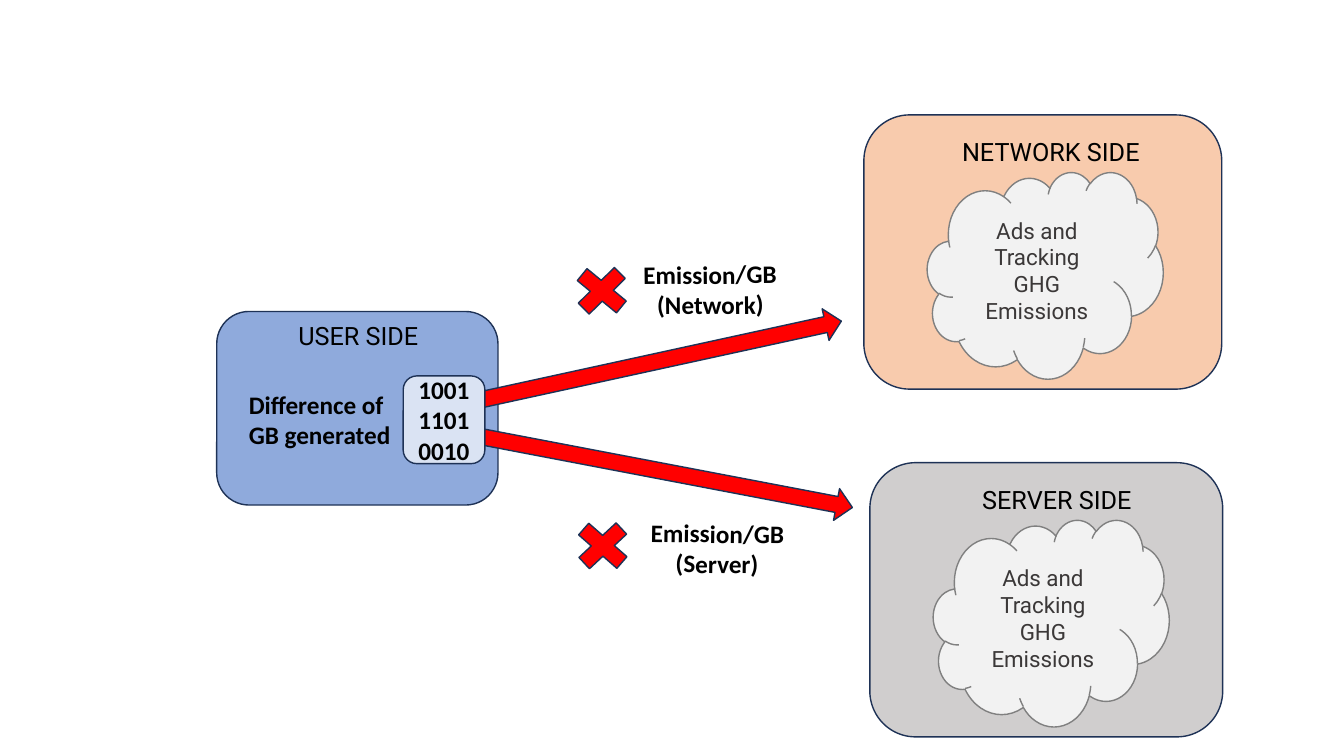
from dataclasses import dataclass

from pptx import Presentation
from pptx.dml.color import RGBColor
from pptx.enum.shapes import MSO_SHAPE
from pptx.enum.text import MSO_ANCHOR, PP_ALIGN
from pptx.util import Inches, Pt

CELL = Inches(0.1)  # one grid column or row
COLS, ROWS = 133.33, 75


@dataclass(frozen=True)
class Theme:
    user: str = "8FAADC"
    network: str = "F8CBAD"
    server: str = "D0CECE"
    cloud: str = "F2F2F2"
    bits: str = "DAE3F3"
    accent: str = "FF0000"
    outline: str = "1E3256"
    cloud_outline: str = "808080"
    text: str = "000000"
    cloud_text: str = "3B3838"
    heading_font: str = "Roboto"
    label_font: str = "Calibri"
    size: int = 18
    cloud_size: int = 16


THEME = Theme()


@dataclass(frozen=True)
class Box:
    """A rectangle in grid columns and rows."""
    x: float
    y: float
    w: float
    h: float

    def inner(self, x, y, w, h):
        return Box(self.x + x, self.y + y, w, h)

    def emu(self):
        return [round(v * CELL) for v in (self.x, self.y, self.w, self.h)]


def write(sp, lines, font, size=THEME.size, color=THEME.text, bold=False,
          align=PP_ALIGN.CENTER):
    tf = sp.text_frame
    tf.word_wrap = True
    tf.text = "\n".join(lines)
    for p in tf.paragraphs:
        p.alignment = align
        p.font.name, p.font.size, p.font.bold = font, Pt(size), bold
        p.font.color.rgb = RGBColor.from_string(color)


def add_shape(slide, kind, box, fill, outline=THEME.outline, rotation=0):
    sp = slide.shapes.add_shape(kind, *box.emu())
    sp.shadow.inherit = False
    sp.rotation = rotation
    sp.fill.solid()
    sp.fill.fore_color.rgb = RGBColor.from_string(fill)
    sp.line.color.rgb = RGBColor.from_string(outline)
    sp.line.width = Pt(1)
    sp.text_frame.vertical_anchor = MSO_ANCHOR.MIDDLE
    return sp


def add_heading(slide, box, text):
    write(slide.shapes.add_textbox(*box.emu()), [text], THEME.heading_font)


def add_label(slide, box, text, rotation=0, align=PP_ALIGN.CENTER):
    sp = slide.shapes.add_textbox(*box.emu())
    sp.rotation = rotation
    write(sp, [text], THEME.label_font, bold=True, align=align)


def add_user_side(slide, box):
    add_shape(slide, MSO_SHAPE.ROUNDED_RECTANGLE, box, THEME.user)
    add_heading(slide, box.inner(0.6, 0.4, 26.9, 4), "USER SIDE")
    add_label(slide, box.inner(2.2, 7.2, 17, 7.1), "Difference of GB generated",
              align=PP_ALIGN.LEFT)


def add_bits(slide, box):
    sp = add_shape(slide, MSO_SHAPE.ROUNDED_RECTANGLE, box, THEME.bits)
    write(sp, ["1001", "1101", "0010"], THEME.label_font, bold=True)


def add_emission_side(slide, box, heading, fill):
    add_shape(slide, MSO_SHAPE.ROUNDED_RECTANGLE, box, fill)
    cloud = add_shape(slide, MSO_SHAPE.CLOUD, box.inner(6.3, 5.65, 23.4, 20.5),
                      THEME.cloud, THEME.cloud_outline)
    write(cloud, ["Ads and Tracking GHG Emissions"], THEME.heading_font,
          THEME.cloud_size, THEME.cloud_text)
    add_heading(slide, box.inner(5.1, 1.65, 26.9, 4), heading)


def add_factor(slide, box, text, cross_y, cross_turn, label_turn):
    """A multiplication cross at the left of the box, its label at the right."""
    add_shape(slide, MSO_SHAPE.MATH_MULTIPLY, box.inner(0, cross_y, 7.2, 6.5),
              THEME.accent, rotation=cross_turn)
    add_label(slide, box.inner(box.w - 17.7, 0, 17.7, box.h), text, label_turn)


def add_arrow(slide, box, rotation):
    add_shape(slide, MSO_SHAPE.RIGHT_ARROW, box, THEME.accent, rotation=rotation)


def main():
    prs = Presentation()
    prs.slide_width, prs.slide_height = round(COLS * CELL), ROWS * CELL
    slide = prs.slides.add_slide(prs.slide_layouts[6])

    user = Box(21.5, 30.9, 27.9, 19.2)
    add_user_side(slide, user)
    add_emission_side(slide, Box(85.7, 11.4, 35.5, 27.2), "NETWORK SIDE", THEME.network)
    add_emission_side(slide, Box(86.3, 45.9, 35, 27.2), "SERVER SIDE", THEME.server)
    add_factor(slide, Box(56.1, 25.2, 23.2, 7.1), "Emission/GB (Network)", 0.4, 357.4, 359.4)
    add_factor(slide, Box(56.2, 50.9, 23.8, 7.1), "Emission/GB (Server)", 0, 359.1, 0.8)
    add_arrow(slide, Box(46, 34.3, 37.9, 3.2), 347.7)
    add_arrow(slide, Box(47, 45.2, 37.9, 3.2), 10.8)
    add_bits(slide, user.inner(18.5, 6.4, 8.1, 8.7))  # covers the arrow tails

    prs.save("out.pptx")


if __name__ == "__main__":
    main()
